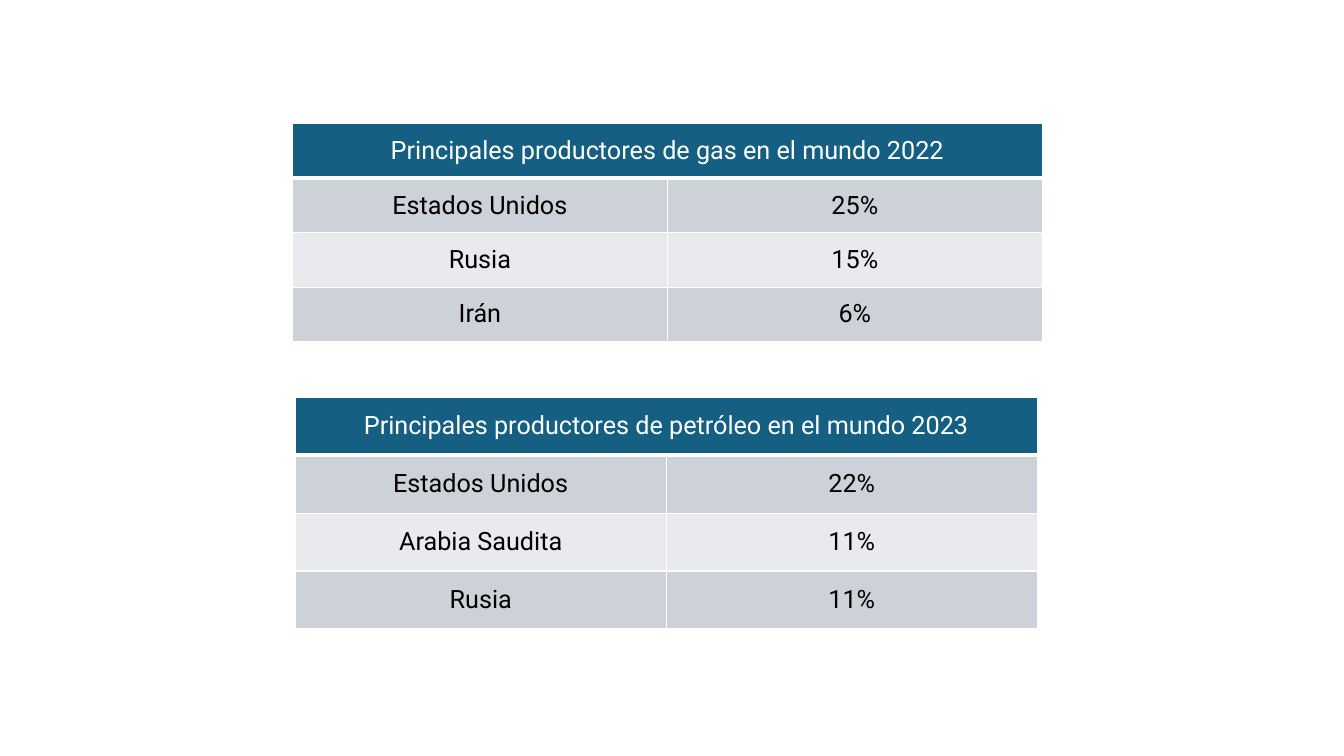
import pptx
import pptx.dml.color
import pptx.enum.text
import pptx.oxml
import pptx.oxml.ns
import pptx.util

Cm = pptx.util.Cm
Pt = pptx.util.Pt

COLORS = {
    "head": "156082",
    "dark": "CCD2D8",
    "light": "E8EAED",
    "white": "FFFFFF",
    "black": "000000",
}
FONT = "Roboto"

GAS = [
    ("Principales productores de gas en el mundo 2022", ""),
    ("Estados Unidos", "25%"),
    ("Rusia", "15%"),
    ("Irán", "6%"),
]
OIL = [
    ("Principales productores de petróleo en el mundo 2023", ""),
    ("Estados Unidos", "22%"),
    ("Arabia Saudita", "11%"),
    ("Rusia", "11%"),
]


def color(name):
    return pptx.dml.color.RGBColor.from_string(COLORS[name])


def add_edges(cell, base):
    props = cell._tc.get_or_add_tcPr()
    for side, width in (("L", 1), ("R", 1), ("T", 1), ("B", base)):
        props.append(pptx.oxml.parse_xml(
            f'<a:ln{side} {pptx.oxml.ns.nsdecls("a")} w="{Pt(width)}">'
            f'<a:solidFill><a:srgbClr val="{COLORS["white"]}"/></a:solidFill>'
            f'</a:ln{side}>'
        ))


def add_text(cell, text, ink):
    cell.vertical_anchor = pptx.enum.text.MSO_ANCHOR.MIDDLE
    para = cell.text_frame.paragraphs[0]
    para.alignment = pptx.enum.text.PP_ALIGN.CENTER
    run = para.add_run()
    run.text = text
    run.font.name = FONT
    run.font.size = Pt(18)
    run.font.bold = False
    run.font.color.rgb = color(ink)


def add_grid(slide, rows, left, top, width, height):
    frame = slide.shapes.add_table(
        len(rows), 2, Cm(left), Cm(top), Cm(width), Cm(height))
    table = frame.table
    for col in table.columns:
        col.width = Cm(width / 2)
    for row in table.rows:
        row.height = Cm(height / len(rows))
    table.cell(0, 0).merge(table.cell(0, 1))
    for r, row in enumerate(rows):
        if r == 0:
            fill, ink, base = "head", "white", 3
        else:
            fill, ink, base = ("dark" if r % 2 else "light"), "black", 1
        for c, text in enumerate(row):
            cell = table.cell(r, c)
            add_edges(cell, base)
            cell.fill.solid()
            cell.fill.fore_color.rgb = color(fill)
            if text:
                add_text(cell, text, ink)


def main():
    deck = pptx.Presentation()
    deck.slide_width = Cm(33.87)
    deck.slide_height = Cm(19.05)
    slide = deck.slides.add_slide(deck.slide_layouts[6])
    add_grid(slide, OIL, 7.44, 10.01, 18.7, 5.84)
    add_grid(slide, GAS, 7.37, 3.12, 18.9, 5.49)
    deck.save("out.pptx")


if __name__ == "__main__":
    main()
